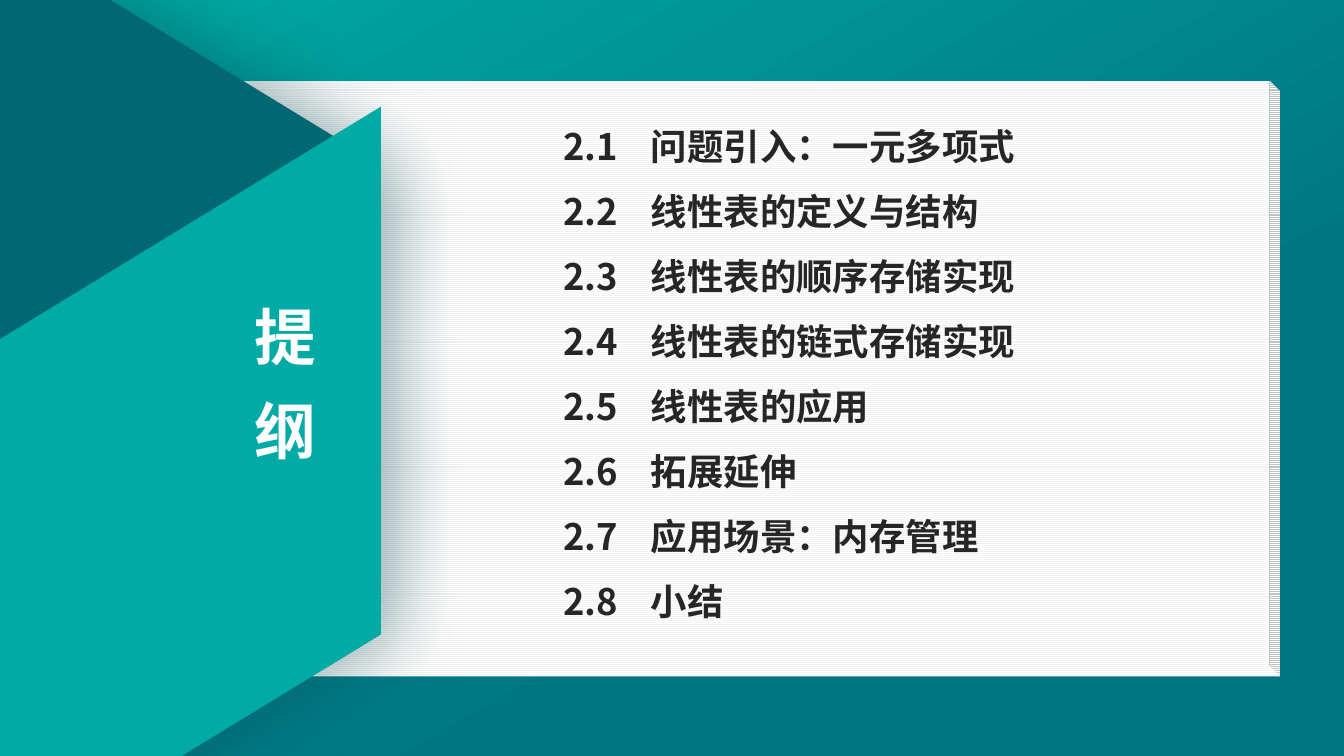
import pptx
import pptx.util
import pptx.dml.color
import pptx.enum.dml
import pptx.enum.shapes
import pptx.enum.text
import pptx.oxml
import pptx.oxml.ns
from lxml import etree

Pt = pptx.util.Pt
SHAPES = pptx.enum.shapes.MSO_SHAPE
FONT = "Noto Sans CJK SC"
TOPICS = [
    "问题引入：一元多项式",
    "线性表的定义与结构",
    "线性表的顺序存储实现",
    "线性表的链式存储实现",
    "线性表的应用",
    "拓展延伸",
    "应用场景：内存管理",
    "小结",
]


def rgb(code):
    return pptx.dml.color.RGBColor.from_string(code)


def add_child(parent, tag, **attributes):
    child = etree.SubElement(parent, pptx.oxml.ns.qn(tag))
    for name, value in attributes.items():
        child.set(name, str(value))
    return child


def set_gradient(fill, stops, angle):
    fill.gradient()
    fill.gradient_angle = 360 - angle
    for stop, (position, color) in zip(fill.gradient_stops, stops):
        stop.position = position
        stop.color.rgb = rgb(color)


def add_shadow(effects, color, opacity, blur, distance, direction):
    shadow = add_child(effects, "a:outerShdw", blurRad=Pt(blur), dist=Pt(distance),
                       dir=direction * 60000, algn="l", rotWithShape=0)
    tint = add_child(shadow, "a:srgbClr", val=color)
    add_child(tint, "a:alpha", val=opacity * 1000)


def add_panel(page, kind, left, top, width, height, adjustment, rotation=0):
    panel = page.shapes.add_shape(kind, Pt(left), Pt(top), Pt(width), Pt(height))
    panel.adjustments[0] = adjustment
    panel.rotation = rotation
    panel.shadow.inherit = False
    panel.line.fill.background()
    return panel


def add_text_box(page, left, top, width, height, text):
    box = page.shapes.add_textbox(Pt(left), Pt(top), Pt(width), Pt(height))
    frame = box.text_frame
    frame.word_wrap = True
    frame.margin_top = frame.margin_bottom = 0
    frame.text = text
    return frame


def style_span(span, size, color, shadow=None):
    span.font.size = Pt(size)
    span.font.bold = True
    span.font.color.rgb = rgb(color)
    properties = span.font._element
    if shadow:
        add_shadow(add_child(properties, "a:effectLst"), *shadow)
    span.font.name = FONT
    add_child(properties, "a:ea", typeface=FONT)


def add_book(page):
    book = add_panel(page, SHAPES.CUBE, 0, 57.6, 914.4, 425.5, 0.018)
    book._element.spPr.xfrm.set("flipV", "1")
    book.fill.patterned()
    book.fill.pattern = pptx.enum.dml.MSO_PATTERN.LIGHT_HORIZONTAL
    book.fill.fore_color.rgb = rgb("F2F2F2")
    book.fill.back_color.rgb = rgb("FFFFFF")


def add_ribbon(page):
    hexagon = add_panel(page, SHAPES.HEXAGON, -447.1, -56.9, 753.1, 684.7, 0.305, 90)
    set_gradient(hexagon.fill, [(0.77, "016773"), (1, "007684")], 90)
    effects = hexagon._element.spPr.find(pptx.oxml.ns.qn("a:effectLst"))
    add_shadow(effects, "013F45", 40, 55, 13, 0)
    band = add_panel(page, SHAPES.PARALLELOGRAM, -197.3, 208.1, 596.9, 321.8, 0.61, 328.6)
    band.fill.solid()
    band.fill.fore_color.rgb = rgb("00ABA5")


def add_heading(page):
    frame = add_text_box(page, 169, 199.3, 70, 134, "提\n纲")
    for para in frame.paragraphs:
        para.alignment = pptx.enum.text.PP_ALIGN.CENTER
        para.line_spacing = Pt(67)
        style_span(para.runs[0], 44, "FFFFFF", ("000000", 43, 3, 3, 45))


def add_outline(page):
    lines = [f"2.{number}\t{topic}" for number, topic in enumerate(TOPICS, 1)]
    frame = add_text_box(page, 395.3, 79, 402.5, 371, "\n".join(lines))
    for index, para in enumerate(frame.paragraphs):
        tabs = add_child(para._p.get_or_add_pPr(), "a:tabLst")
        add_child(tabs, "a:tab", pos=Pt(62.5), algn="l")
        para.line_spacing = Pt(40.5)
        para.space_before = Pt(6 if index else 0)
        for span in para.runs:
            style_span(span, 26, "262626")


def main():
    deck = pptx.Presentation()
    deck.slide_width = Pt(960)
    deck.slide_height = Pt(540)
    page = deck.slides.add_slide(deck.slide_layouts[6])
    set_gradient(page.background.fill, [(0, "00ABA5"), (0.67, "007684")], 60)
    add_book(page)
    add_ribbon(page)
    add_heading(page)
    add_outline(page)
    deck.save("out.pptx")


if __name__ == "__main__":
    main()
